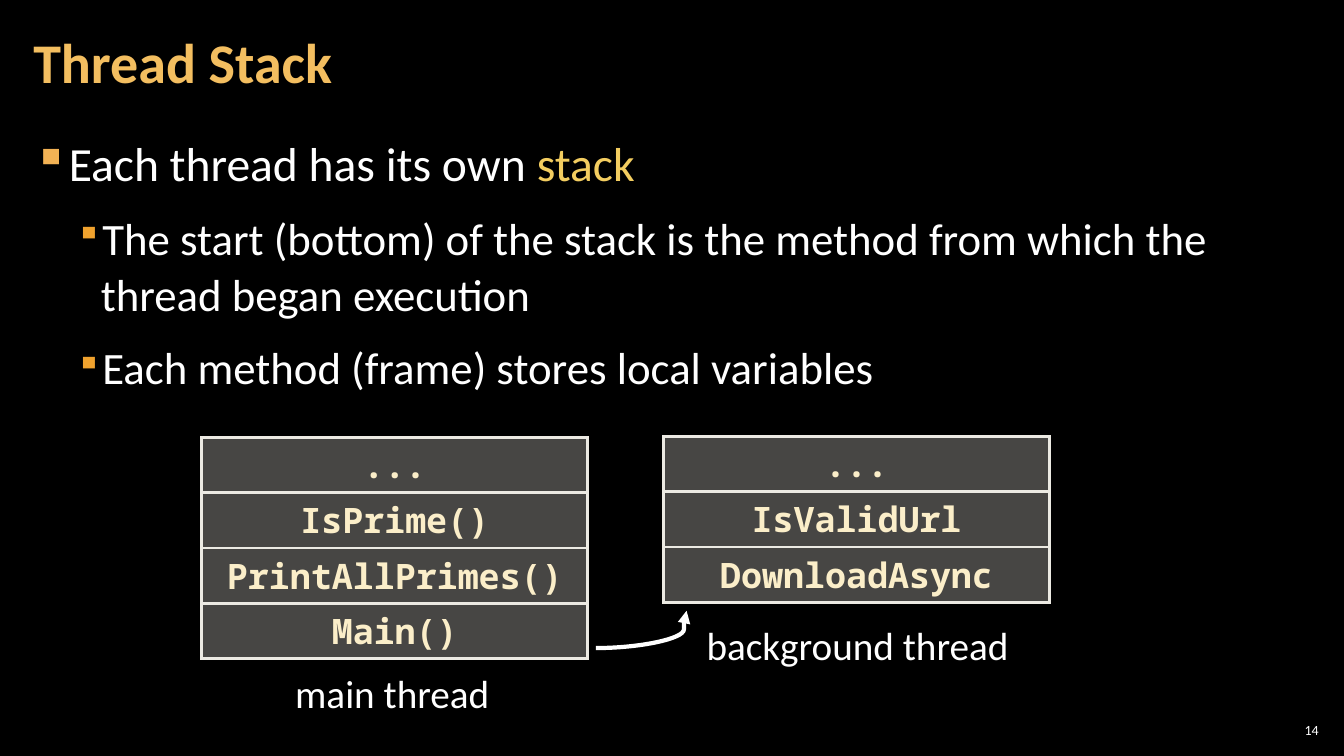
import pptx
import pptx.dml.color
import pptx.enum.shapes
import pptx.enum.text
import pptx.oxml
import pptx.oxml.ns
import pptx.util
from dataclasses import dataclass

Pt = pptx.util.Pt
RGB = pptx.dml.color.RGBColor.from_string
ALIGN = pptx.enum.text.PP_ALIGN
ANCHOR = pptx.enum.text.MSO_ANCHOR
EMU_PER_PX = 9144  # 100 px to the inch
A = 'xmlns:a="http://schemas.openxmlformats.org/drawingml/2006/main"'


@dataclass(frozen=True)
class Theme:
    sans: str = "Calibri"
    mono: str = "Noto Sans Mono"
    back: str = "000000"
    text: str = "FFFFFF"
    title: str = "F3BE60"
    accent: str = "F3CD60"
    bullets: tuple = ("F2B254", "F0A22E")
    frame: str = "ECEAE3"
    code: str = "FBEEC9"
    title_size: int = 40
    body_sizes: tuple = (34, 32)
    label_size: int = 28
    code_size: int = 25
    number_size: int = 10


def px(n):
    return pptx.util.Emu(n * EMU_PER_PX)


def put(obj, **values):
    for name, value in values.items():
        setattr(obj, name, value)


def xml(text):
    return pptx.oxml.parse_xml(text)


class Deck:
    def __init__(self, theme, width, height):
        self.theme = theme
        self.prs = pptx.Presentation()
        put(self.prs, slide_width=px(width), slide_height=px(height))
        self.s = self.prs.slides.add_slide(self.prs.slide_layouts[5])
        fill = self.s.background.fill
        fill.solid()
        fill.fore_color.rgb = RGB(theme.back)

    def run(self, p, text, size, color, font=None, bold=False):
        r = p.add_run()
        r.text = text
        put(r.font, size=Pt(size), name=font or self.theme.sans, bold=bold)
        r.font.color.rgb = RGB(color)

    def frame(self, tf, inset_x, inset_y, anchor):
        put(tf, word_wrap=True, auto_size=pptx.enum.text.MSO_AUTO_SIZE.NONE,
            vertical_anchor=anchor, margin_left=px(inset_x),
            margin_right=px(inset_x), margin_top=px(inset_y),
            margin_bottom=px(inset_y))

    def title(self, text, x, y, w, h):
        sp = self.s.shapes.title
        put(sp, left=px(x), top=px(y), width=px(w), height=px(h))
        self.frame(sp.text_frame, 12, 4, ANCHOR.MIDDLE)
        p = sp.text_frame.paragraphs[0]
        put(p, alignment=ALIGN.LEFT, line_spacing=0.9)
        self.run(p, text, self.theme.title_size, self.theme.title, bold=True)

    def label(self, text, x, y, w, h, size, inset=(10, 5),
              anchor=ANCHOR.TOP, align=ALIGN.LEFT):
        tf = self.s.shapes.add_textbox(px(x), px(y), px(w), px(h)).text_frame
        self.frame(tf, *inset, anchor)
        p = tf.paragraphs[0]
        p.alignment = align
        self.run(p, text, size, self.theme.text)

    def bullets(self, items, x, y, w, h):
        """Each item is a level and a list of (text, color) parts."""
        tf = self.s.shapes.add_textbox(px(x), px(y), px(w), px(h)).text_frame
        self.frame(tf, 12, 4, ANCHOR.TOP)
        for i, (level, parts) in enumerate(items):
            p = tf.add_paragraph() if i else tf.paragraphs[0]
            pPr = p._p.get_or_add_pPr()
            indent, hang = ((33, 33), (67, 25))[level]
            pPr.set("marL", str(px(indent)))
            pPr.set("indent", str(-px(hang)))
            color = self.theme.bullets[level]
            percent = (100000, 80000)[level]
            pPr.append(xml(f'<a:buClr {A}><a:srgbClr val="{color}"/></a:buClr>'))
            pPr.append(xml(f'<a:buSzPct {A} val="{percent}"/>'))
            pPr.append(xml(f'<a:buChar {A} char="▪"/>'))
            put(p, level=level, line_spacing=1.05, space_after=Pt(6),
                space_before=Pt(6 if i else 0))
            for text, color in parts:
                self.run(p, text, self.theme.body_sizes[level], color)

    def stack(self, methods, x, y, w, row_h):
        tbl = self.s.shapes.add_table(len(methods), 1, px(x), px(y), px(w),
                                      px(row_h * len(methods))).table
        put(tbl, first_row=False, horz_banding=False)
        for i, method in enumerate(methods):
            tbl.rows[i].height = px(row_h)
            cell = tbl.cell(i, 0)
            cell.vertical_anchor = ANCHOR.MIDDLE
            p = cell.text_frame.paragraphs[0]
            put(p, alignment=ALIGN.CENTER, line_spacing=0.95)
            self.run(p, method, self.theme.code_size, self.theme.code,
                     self.theme.mono, True)
            self.cell_style(cell)

    def cell_style(self, cell):
        color = self.theme.frame
        tcPr = cell._tc.get_or_add_tcPr()
        for side in ("lnL", "lnR", "lnT", "lnB"):
            tcPr.append(xml(
                f'<a:{side} {A} w="{Pt(2.25)}"><a:solidFill>'
                f'<a:srgbClr val="{color}"/></a:solidFill></a:{side}>'))
        tcPr.append(xml(
            f'<a:solidFill {A}><a:srgbClr val="{color}">'
            '<a:alpha val="30000"/></a:srgbClr></a:solidFill>'))

    def curved_arrow(self, x1, y1, x2, y2, bend):
        c = self.s.shapes.add_connector(pptx.enum.shapes.MSO_CONNECTOR.CURVE,
                                        px(x1), px(y1), px(x2), px(y2))
        c.line.width = Pt(3)
        c.line.color.rgb = RGB(self.theme.text)
        c.line._get_or_add_ln().append(xml(f'<a:tailEnd {A} type="triangle"/>'))
        spPr = c._element.spPr
        spPr.append(xml(f'<a:effectLst {A}/>'))
        av = spPr.find(pptx.oxml.ns.qn("a:prstGeom")).get_or_add_avLst()
        av.append(xml(f'<a:gd {A} name="adj1" fmla="val {bend}"/>'))


def main():
    t = Theme()
    deck = Deck(t, 1333, 750)

    # Title, slide number and bullet points
    deck.title("Thread Stack", 21, 4, 1047, 121)
    deck.label("14", 1265, 714, 47, 21, t.number_size, (4, 4),
               ANCHOR.MIDDLE, ALIGN.RIGHT)
    deck.bullets([
        (0, [("Each thread has its own ", t.text), ("stack", t.accent)]),
        (1, [("The start (bottom) of the stack is the method from which "
              "the thread began execution", t.text)]),
        (1, [("Each method (frame) stores local variables", t.text)]),
    ], 21, 126, 1291, 300)

    # Main thread
    deck.stack(["...", "IsPrime()", "PrintAllPrimes()", "Main()"],
               200, 434, 383, 54)
    deck.label("main thread", 283, 659, 217, 57, t.label_size)

    # Background thread, started from Main()
    deck.stack(["...", "IsValidUrl", "DownloadAsync"], 658, 433, 383, 54)
    deck.label("background thread", 691, 611, 323, 57, t.label_size)
    deck.curved_arrow(591, 643, 681, 606, 97100)

    deck.prs.save("out.pptx")


if __name__ == "__main__":
    main()
